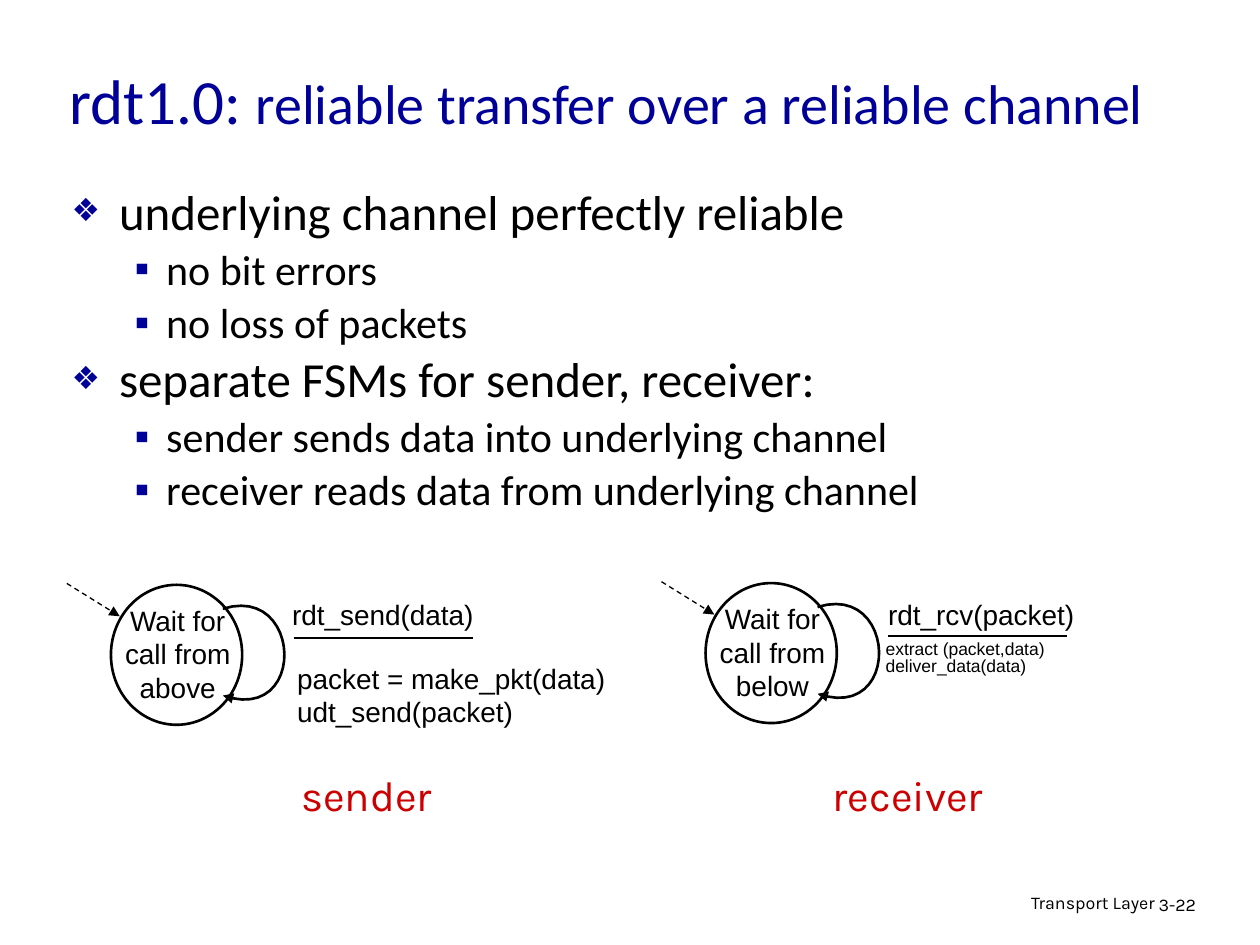
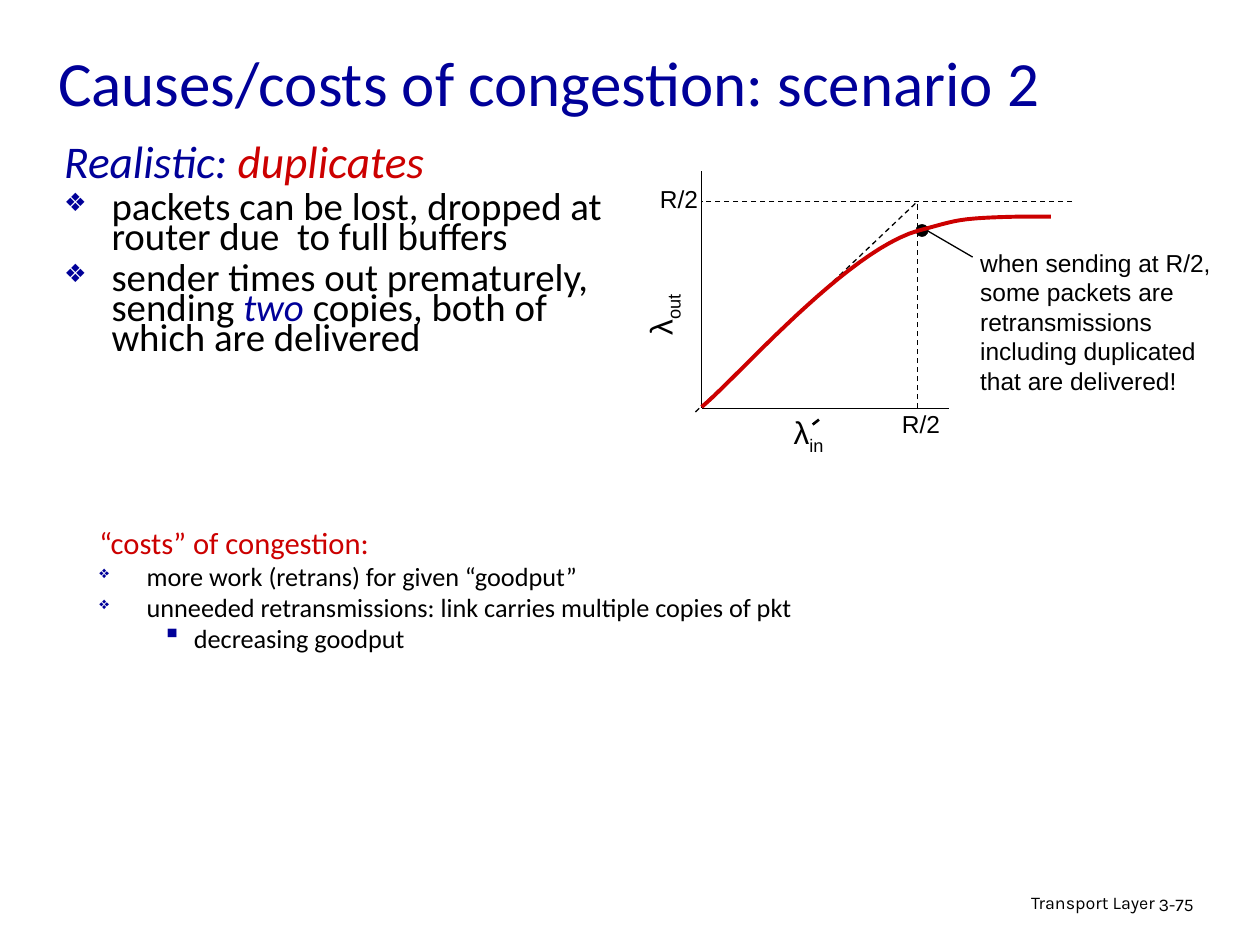
from lxml.etree import SubElement
from pptx import Presentation
from pptx.dml.color import RGBColor
from pptx.enum.dml import MSO_LINE
from pptx.enum.shapes import MSO_CONNECTOR, MSO_SHAPE
from pptx.enum.text import MSO_ANCHOR, MSO_AUTO_SIZE, PP_ALIGN
from pptx.oxml.ns import qn
from pptx.util import Pt

BLUE = RGBColor(0x00, 0x00, 0x99)
RED = RGBColor(0xCC, 0x00, 0x00)
BLACK = RGBColor(0x00, 0x00, 0x00)
WHITE = RGBColor(0xFF, 0xFF, 0xFF)
HEAD, PLAIN, NOTE = "Calibri", "Arial", "Karla"
MARKS = {0: ("❖", 65, 27, 27), 1: ("▪", 100, 54, 18)}


class Deck:
    """Holds the shared style and the current slide, and draws each kind of element."""

    def __init__(self):
        self.prs = Presentation()
        self.prs.slide_width, self.prs.slide_height = Pt(720), Pt(540)

    def start(self, number):
        self.slide = self.prs.slides.add_slide(self.prs.slide_layouts[1])
        self.shapes = self.slide.shapes
        self.text((439, 507.5, 228, 22), "Transport Layer", 10.2, NOTE,
                  align=PP_ALIGN.RIGHT, space=0.9)
        self.text((655, 508.5, 53, 22), number, 10.2, NOTE, space=0.9)

    def place(self, shape, box):
        shape.left, shape.top, shape.width, shape.height = map(Pt, box)

    def style(self, run, size, font, color=BLACK, slant=False):
        run.font.size, run.font.name = Pt(size), font
        run.font.color.rgb, run.font.italic = color, slant

    def title(self, box, *parts):
        shape = self.shapes.title
        self.place(shape, box)
        frame = shape.text_frame
        frame.auto_size = MSO_AUTO_SIZE.NONE
        frame.vertical_anchor = MSO_ANCHOR.MIDDLE
        para = frame.paragraphs[0]
        para.alignment = PP_ALIGN.LEFT
        for text, size in parts:
            run = para.add_run()
            run.text = text
            self.style(run, size, HEAD, BLUE)

    def text(self, box, text, size, font=PLAIN, color=BLACK, align=PP_ALIGN.LEFT,
             space=1.0, wrap=True, sub=""):
        shape = self.shapes.add_textbox(*map(Pt, box))
        frame = shape.text_frame
        frame.text = text
        frame.word_wrap = wrap
        if sub:
            low = frame.paragraphs[0].add_run()
            low.text = sub
            low._r.get_or_add_rPr().set("baseline", "-25000")
        for para in frame.paragraphs:
            para.alignment, para.line_spacing = align, space
            for run in para.runs:
                self.style(run, size, font, color)
        return shape

    def mark(self, para, level, shown):
        sign, scale, left, hang = MARKS[level]
        props = para._p.get_or_add_pPr()
        props.set("marL", str(Pt(left)))
        props.set("indent", str(-Pt(hang)))
        if not shown:
            SubElement(props, qn("a:buNone"))
            return
        tint = SubElement(props, qn("a:buClr"))
        SubElement(tint, qn("a:srgbClr")).set("val", str(BLUE))
        SubElement(props, qn("a:buSzPct")).set("val", str(scale * 1000))
        SubElement(props, qn("a:buChar")).set("char", sign)

    def list(self, shape, box, space, items):
        self.place(shape, box)
        frame = shape.text_frame
        frame.word_wrap, frame.auto_size = True, MSO_AUTO_SIZE.NONE
        for i, (level, shown, size, *parts) in enumerate(items):
            para = frame.add_paragraph() if i else frame.paragraphs[0]
            para.level, para.line_spacing = level, space
            para.space_before = Pt(6 if i else 0)
            self.mark(para, level, shown)
            for text, color, slant in parts:
                run = para.add_run()
                run.text = text
                self.style(run, size, HEAD, color, slant)

    def stroke(self, shape, color, width, dash=False, arrow=False):
        shape.line.color.rgb, shape.line.width = color, Pt(width)
        if dash:
            shape.line.dash_style = MSO_LINE.DASH
        if arrow:
            pen = shape._element.spPr.find(qn("a:ln"))
            SubElement(pen, qn("a:tailEnd")).set("type", "triangle")

    def line(self, x1, y1, x2, y2, width=0.75, dash=False, arrow=False):
        shape = self.shapes.add_connector(MSO_CONNECTOR.STRAIGHT, *map(Pt, (x1, y1, x2, y2)))
        self.stroke(shape, BLACK, width, dash, arrow)
        SubElement(shape._element.spPr, qn("a:effectLst"))

    def oval(self, box, fill):
        shape = self.shapes.add_shape(MSO_SHAPE.OVAL, *map(Pt, box))
        shape.shadow.inherit = False
        shape.fill.solid()
        shape.fill.fore_color.rgb = fill
        self.stroke(shape, BLACK, 1.5 if fill == WHITE else 0.25)

    def curve(self, start, bends, color, width, arrow=False, steps=24):
        points, a = [], start
        for b, c, d in bends:
            for i in range(1, steps + 1):
                t = i / steps
                u = 1 - t
                points.append(tuple(
                    Pt(u**3 * p + 3 * u * u * t * q + 3 * u * t * t * r + t**3 * s)
                    for p, q, r, s in zip(a, b, c, d)))
            a = d
        pen = self.shapes.build_freeform(*map(Pt, start), scale=1.0)
        pen.add_line_segments(points, close=False)
        shape = pen.convert_to_shape()
        shape.shadow.inherit = False
        shape.fill.background()
        self.stroke(shape, color, width, arrow=arrow)

    def state(self, x, y, label):
        self.oval((x, y, 75, 80), WHITE)
        self.text((x - 5, y + 7, 86.4, 72), label, 16, align=PP_ALIGN.CENTER)
        bend = (x + 109.4, y - 0.7), (x + 112.3, y + 80), (x + 64, y + 63.3)
        self.curve((x + 64, y + 13.7), [bend], BLACK, 1.5, arrow=True)
        self.line(x + 104.4, y + 30.3, x + 206.6, y + 30.3, 1.5)
        self.line(x - 25.2, y - 0.8, x + 5, y + 18, dash=True, arrow=True)


def plain(level, size, text):
    return level, True, size, (text, BLACK, False)


def machines(deck):
    deck.start("3-22")
    deck.title((32.4, 17, 630, 79.2), ("rdt1.0: ", 36),
               ("reliable transfer over a reliable channel", 32))
    deck.list(deck.slide.placeholders[1], (33.8, 105.1, 622, 237.6), 0.85, [
        plain(0, 28, "underlying channel perfectly reliable"),
        plain(1, 24, "no bit errors"),
        plain(1, 24, "no loss of packets"),
        plain(0, 28, "separate FSMs for sender, receiver:"),
        plain(1, 24, "sender sends data into underlying channel"),
        plain(1, 24, "receiver reads data from underlying channel")])
    deck.state(63.4, 334.2, "Wait for call from above")
    deck.state(403.2, 333.2, "Wait for call from below")
    deck.text((159.8, 337.7, 178, 34), "rdt_send(data)", 16)
    deck.text((500.4, 337.7, 140, 34), "rdt_rcv(packet)", 16)
    deck.text((162.7, 374.4, 211, 47), "packet = make_pkt(data)\nudt_send(packet)", 16)
    deck.text((499, 363.6, 196, 34), "extract (packet,data)\ndeliver_data(data)", 10, space=0.8)
    for x, width, role in ((163.4, 92.2, "sender"), (466.6, 104.4, "receiver")):
        deck.text((x, 436.3, width, 36), role, 24, NOTE, RED, PP_ALIGN.CENTER, wrap=False)


def plot(deck):
    left, base, cap, half = 401, 233.3, 115.2, 524.2
    deck.line(left, 98, left, base)
    deck.line(542.2, base, left, base)
    deck.line(612.7, cap, left, cap, dash=True)
    deck.line(397.4, 235.4, half, cap, dash=True)
    deck.line(half, base, half, cap, dash=True)
    for x, y in ((370, 101.5), (508.3, 230.4)):
        deck.text((x, y, 36, 24.5), "R/2", 14, wrap=False)
    deck.text((354.2, 158.4, 49, 31.7), "λ", 18, sub="out").rotation = 270
    deck.text((446.4, 232.6, 32.4, 31.7), "λ", 18, wrap=False, sub="in")
    deck.line(464.4, 242.6, 468, 239.8, 1.5)
    deck.oval((523.4, 128.2, 7, 7), BLACK)
    deck.text((553, 138.2, 148.3, 91.4), "when sending at R/2, some packets are "
              "retransmissions including duplicated that are delivered!", 14)
    deck.line(555.8, 146.9, 524.9, 128.9, arrow=True)
    deck.curve((401, 232.6), [
        ((421.2, 216), (483.8, 143.3), (524.9, 131.8)),
        ((547.2, 126), (545.8, 124.6), (583.9, 123.8)),
        ((600.5, 123.8), (596.9, 123.8), (600.5, 123.8))], RED, 2.25)


def costs(deck):
    deck.start("3-75")
    deck.title((26, 12, 612, 68.4), ("Causes/costs of congestion: scenario 2", 36))
    plot(deck)
    deck.list(deck.slide.placeholders[1], (29.5, 82.1, 339.1, 151.2), 0.65, [
        (0, False, 25.9, ("Realistic: ", BLUE, True), ("duplicates", RED, True)),
        plain(0, 22.2, "packets can be lost, dropped at router due  to full buffers"),
        (0, True, 22.2, ("sender times out prematurely, sending ", BLACK, False),
         ("two ", BLUE, True), ("copies, both of which are delivered", BLACK, False))])
    area = (49.7, 302.4, 641.5, 77.8)
    deck.list(deck.shapes.add_textbox(*map(Pt, area)), area, 0.65, [
        (0, False, 17.5, ("“costs” of congestion:", RED, False)),
        plain(0, 15, "more work (retrans) for given “goodput”"),
        plain(0, 15, "unneeded retransmissions: link carries multiple copies of pkt"),
        plain(1, 15, "decreasing goodput")])


def main():
    deck = Deck()
    machines(deck)
    costs(deck)
    deck.prs.save("out.pptx")


if __name__ == "__main__":
    main()
